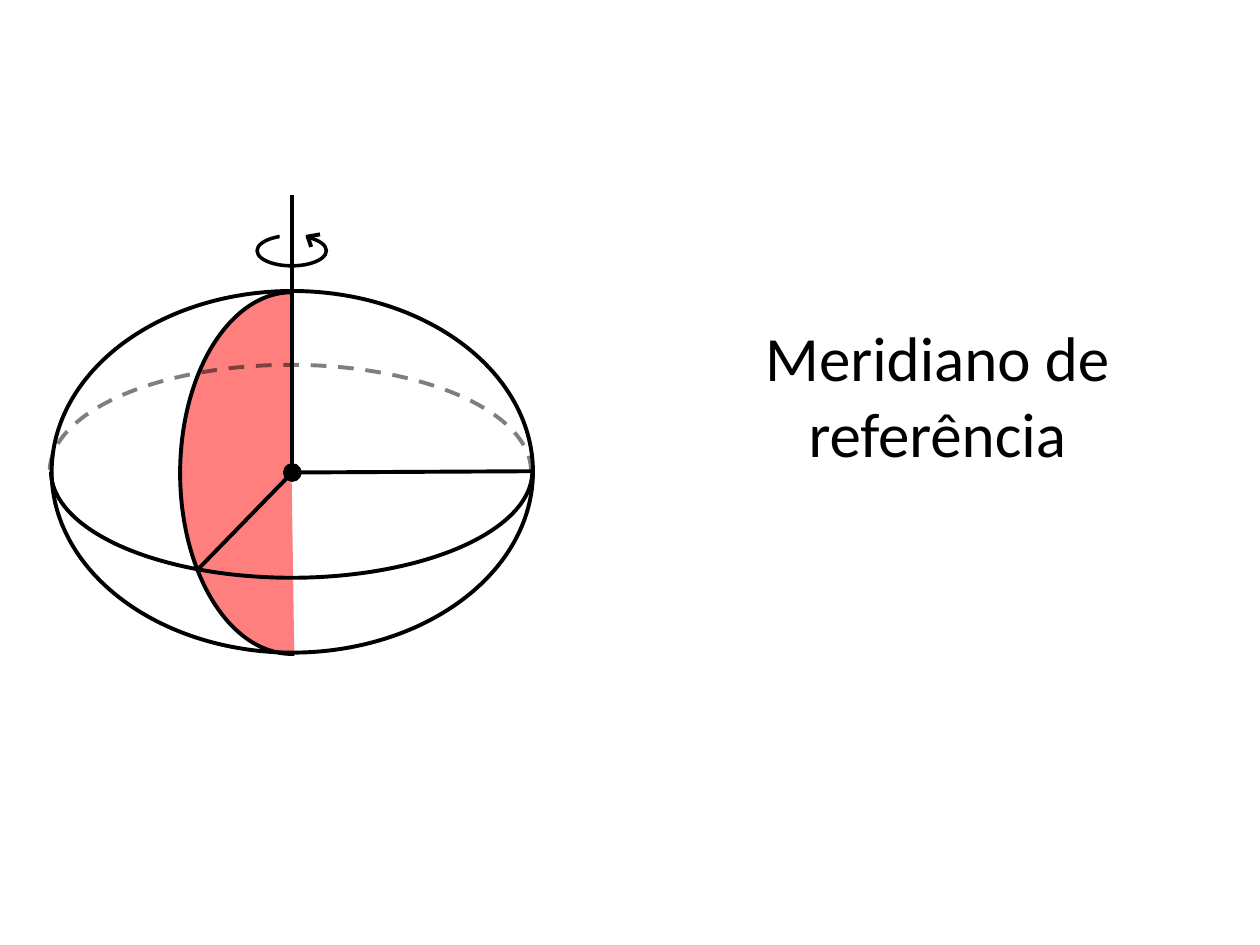
from dataclasses import dataclass

import pptx
import pptx.dml.color
import pptx.enum.dml
import pptx.enum.shapes
import pptx.enum.text
import pptx.oxml.ns
import pptx.util
from lxml import etree
from pptx.util import Inches

SHAPE = pptx.enum.shapes.MSO_SHAPE


@dataclass(frozen=True)
class Theme:
    ink: str = "000000"
    paper: str = "FFFFFF"
    sector: str = "FF0000"
    font: str = "Calibri"
    text_size: float = 36
    line: float = 2.25
    thin: float = 2


THEME = Theme()


def rgb(color):
    return pptx.dml.color.RGBColor.from_string(color)


def set_alpha(fill, percent):
    color = fill._xPr.find(".//" + pptx.oxml.ns.qn("a:srgbClr"))
    alpha = etree.SubElement(color, pptx.oxml.ns.qn("a:alpha"))
    alpha.set("val", str(percent * 1000))


def add_outlined(shapes, kind, box, fill=None, width=None):
    s = shapes.add_shape(kind, *map(Inches, box))
    s.shadow.inherit = False
    if fill:
        s.fill.solid()
        s.fill.fore_color.rgb = rgb(fill)
    else:
        s.fill.background()
    if width:
        s.line.color.rgb = rgb(THEME.ink)
        s.line.width = pptx.util.Pt(width)
    else:
        s.line.fill.background()
    return s


def add_half_arc(shapes, box, end, rotation=0, flips=("flipH",), fill=None):
    s = add_outlined(shapes, SHAPE.ARC, box, fill, THEME.line)
    s.adjustments[0] = 162
    s.adjustments[1] = end
    s.rotation = rotation
    xfrm = s.element.spPr.find(pptx.oxml.ns.qn("a:xfrm"))
    for flip in flips:
        xfrm.set(flip, "1")
    return s


def add_line(shapes, start, end):
    c = shapes.add_connector(pptx.enum.shapes.MSO_CONNECTOR.STRAIGHT,
                             *map(Inches, start + end))
    c.line.color.rgb = rgb(THEME.ink)
    c.line.width = pptx.util.Pt(THEME.line)
    etree.SubElement(c.element.spPr, pptx.oxml.ns.qn("a:effectLst"))


def add_rotation_symbol(shapes):
    group = shapes.add_group_shape().shapes
    add_outlined(group, SHAPE.OVAL, (2.04, 1.87, 0.55, 0.24), width=THEME.thin)
    add_outlined(group, SHAPE.RECTANGLE, (2.22, 1.79, 0.22, 0.2), THEME.paper)
    add_line(group, (2.43, 1.88), (2.54, 1.86))
    add_line(group, (2.47, 1.96), (2.44, 1.87))


def add_label(shapes, box, text):
    tf = shapes.add_textbox(*map(Inches, box)).text_frame
    tf.word_wrap = True
    tf.auto_size = pptx.enum.text.MSO_AUTO_SIZE.SHAPE_TO_FIT_TEXT
    p = tf.paragraphs[0]
    p.text = text
    p.alignment = pptx.enum.text.PP_ALIGN.CENTER
    p.font.name = THEME.font
    p.font.size = pptx.util.Pt(THEME.text_size)
    p.font.color.rgb = rgb(THEME.ink)


def main():
    prs = pptx.Presentation()
    prs.slide_width, prs.slide_height = Inches(10), Inches(7.5)
    shapes = prs.slides.add_slide(prs.slide_layouts[6]).shapes
    center = (2.32, 3.75)

    meridian = add_half_arc(shapes, (1.43, 2.32, 1.77, 2.87), 54.5, fill=THEME.sector)
    set_alpha(meridian.fill, 50)
    add_outlined(shapes, SHAPE.OVAL, (0.41, 2.31, 3.82, 2.87), width=THEME.line)
    back_equator = add_half_arc(shapes, (1.46, 1.83, 1.69, 3.82), 54.07, rotation=90)
    back_equator.line.dash_style = pptx.enum.dml.MSO_LINE.DASH
    set_alpha(back_equator.line.fill, 50)

    for radius_end in ((4.23, 3.74), (1.57, 4.52)):
        add_line(shapes, center, radius_end)
    add_rotation_symbol(shapes)
    add_line(shapes, center, (2.32, 1.55))
    add_label(shapes, (5.47, 2.48, 3.94, 1.31), "Meridiano de referência")
    add_outlined(shapes, SHAPE.OVAL, (2.26, 3.69, 0.12, 0.12), THEME.ink, THEME.thin)
    add_half_arc(shapes, (1.47, 1.83, 1.69, 3.82), 53.93, rotation=270,
                 flips=("flipH", "flipV"))

    prs.save("out.pptx")


if __name__ == "__main__":
    main()
